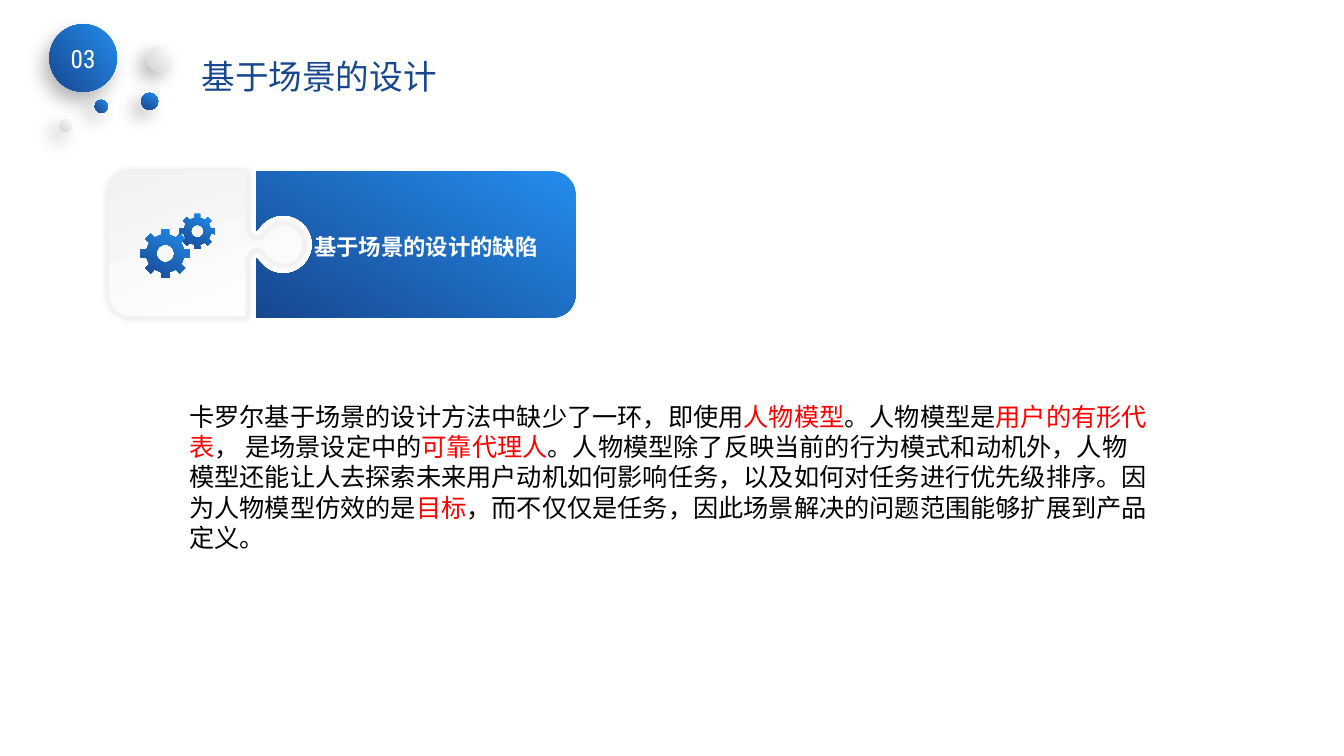
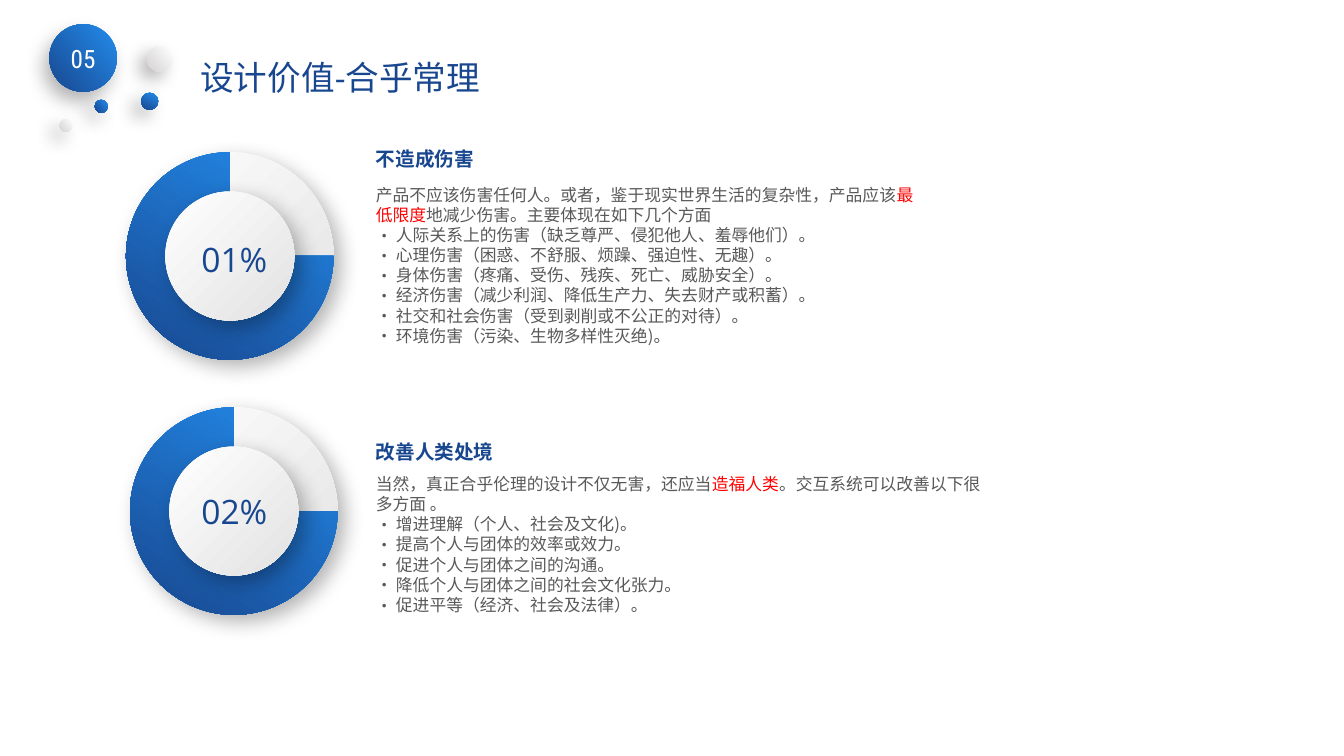
from dataclasses import dataclass
from math import cos, radians, sin

from lxml.etree import SubElement
from pptx import Presentation
from pptx.dml.color import RGBColor
from pptx.enum.shapes import MSO_SHAPE
from pptx.enum.text import MSO_ANCHOR, PP_ALIGN
from pptx.oxml.ns import qn
from pptx.util import Emu, Pt

CELL = 76200
COLUMNS, ROWS = 160, 90
COLORS = {
    "sky": "238DED", "navy": "18478F", "white": "FFFFFF", "black": "000000",
    "mist": "F2F2F2", "silver": "E2E2E2", "steel": "D4D2D3",
    "body": "595959", "accent": "FF0000",
}
CJK_FONT, TITLE_FONT, BADGE_FONT, BODY_FONT = (
    "Noto Sans CJK SC", "Open Sans", "Roboto Condensed", "Calibri")

Point = tuple[float, float]


@dataclass(frozen=True)
class Area:
    left: float
    top: float
    width: float
    height: float

    def emu(self) -> list[Emu]:
        return [Emu(round(n * CELL)) for n in (self.left, self.top, self.width, self.height)]


@dataclass(frozen=True)
class Gradient:
    start: str
    end: str
    angle: float


@dataclass(frozen=True)
class Shadow:
    alpha: int
    blur: float
    distance: float
    direction: int


@dataclass(frozen=True)
class TextStyle:
    size: float
    font: str
    color: str
    bold: bool = False
    align: PP_ALIGN = PP_ALIGN.LEFT
    leading: float = 1.2


@dataclass(frozen=True)
class Dot:
    left: float
    top: float
    size: float
    fill: Gradient


@dataclass(frozen=True)
class Gear:
    x: float
    y: float
    radius: float


@dataclass(frozen=True)
class Value:
    ring: Point
    number: str
    number_top: float
    heading: str
    heading_area: Area
    intro: str
    bullets: tuple[str, ...]
    text_area: Area


BLUE = Gradient("sky", "navy", 120)
BLUE_DOT = Gradient("sky", "navy", 140)
GREY_DOT = Gradient("white", "steel", 140)
DISC = Gradient("white", "silver", 45)
TILE = Gradient("white", "mist", 250)

BADGE_SHADOW = Shadow(30, 14, 8, 120)
DOT_SHADOW = Shadow(30, 13, 8, 135)
DISC_SHADOW = Shadow(30, 15, 7, 45)
TILE_SHADOW = Shadow(11, 5, 0, 0)

TITLE = TextStyle(24, TITLE_FONT, "navy", leading=1.3)
NUMBER = TextStyle(24, TITLE_FONT, "navy", align=PP_ALIGN.CENTER, leading=1.3)
BADGE = TextStyle(18, BADGE_FONT, "white", align=PP_ALIGN.CENTER)
LABEL = TextStyle(16, CJK_FONT, "white", bold=True)
HEADING = TextStyle(14, CJK_FONT, "navy", bold=True)
STORY = TextStyle(18, BODY_FONT, "black")
DETAIL = TextStyle(12, CJK_FONT, "body")

DOTS = (
    Dot(17.52, 5.52, 3, GREY_DOT),
    Dot(7.08, 14.16, 1.56, GREY_DOT),
    Dot(11.28, 11.88, 1.56, BLUE_DOT),
    Dot(16.8, 11.04, 2.04, BLUE),
)
GEARS = (Gear(19.68, 30.18, 2.94), Gear(23.5, 27.54, 2.1))

STORY_TEXT = (
    "卡罗尔基于场景的设计方法中缺少了一环，即使用|人物模型|。人物模型是|用户的有形代表|"
    "， 是场景设定中的|可靠代理人|。人物模型除了反映当前的行为模式和动机外，"
    "人物模型还能让人去探索未来用户动机如何影响任务，以及如何对任务进行优先级排序。"
    "因为人物模型仿效的是|目标|，而不仅仅是任务，因此场景解决的问题范围能够扩展到产品定义。"
)
VALUES = (
    Value(
        (15, 18.12), "01%", 27.48, "不造成伤害", Area(43.56, 16.92, 42, 3.24),
        "产品不应该伤害任何人。或者，鉴于现实世界生活的复杂性，产品应该|最低限度|"
        "地减少伤害。主要体现在如下几个方面",
        ("人际关系上的伤害（缺乏尊严、侵犯他人、羞辱他们）。",
         "心理伤害（困惑、不舒服、烦躁、强迫性、无趣）。",
         "身体伤害（疼痛、受伤、残疾、死亡、威胁安全）。",
         "经济伤害（减少利润、降低生产力、失去财产或积蓄）。",
         "社交和社会伤害（受到剥削或不公正的对待）。",
         "环境伤害（污染、生物多样性灭绝)。"),
        Area(43.56, 21.36, 67.08, 20.64),
    ),
    Value(
        (15.48, 48.48), "02%", 57.48, "改善人类处境", Area(43.56, 51.84, 48.24, 3.96),
        "当然，真正合乎伦理的设计不仅无害，还应当|造福人类|。交互系统可以改善以下很多方面 。",
        ("增进理解（个人、社会及文化)。",
         "提高个人与团体的效率或效力。",
         "促进个人与团体之间的沟通。",
         "降低个人与团体之间的社会文化张力。",
         "促进平等（经济、社会及法律）。"),
        Area(43.56, 55.8, 74.64, 18.12),
    ),
)


def rgb(name: str) -> RGBColor:
    return RGBColor.from_string(COLORS[name])


def paint(shape, fill: Gradient, shadow: Shadow | None = None) -> None:
    shape.fill.gradient()
    shape.fill.gradient_angle = 360 - fill.angle
    for stop, color in zip(shape.fill.gradient_stops, (fill.start, fill.end)):
        stop.color.rgb = rgb(color)
    shape.line.fill.background()
    shape.shadow.inherit = False
    if shadow:
        effects = shape.element.spPr.find(qn("a:effectLst"))
        outer = SubElement(
            effects, qn("a:outerShdw"), blurRad=str(Pt(shadow.blur)),
            dist=str(Pt(shadow.distance)), dir=str(shadow.direction * 60000),
            algn="ctr", rotWithShape="0")
        color = SubElement(outer, qn("a:srgbClr"), val=COLORS["black"])
        SubElement(color, qn("a:alpha"), val=str(shadow.alpha * 1000))


def add_preset(page, kind: MSO_SHAPE, area: Area, fill: Gradient, shadow: Shadow | None = None):
    shape = page.shapes.add_shape(kind, *area.emu())
    paint(shape, fill, shadow)
    return shape


def add_outline(page, contours: list[list[Point]], fill: Gradient, shadow: Shadow | None = None):
    scaled = [[(round(x * CELL), round(y * CELL)) for x, y in contour] for contour in contours]
    builder = page.shapes.build_freeform(*scaled[0][0], scale=1.0)
    for index, contour in enumerate(scaled):
        if index:
            builder.move_to(*contour[0])
        builder.add_line_segments(contour[1:], close=True)
    shape = builder.convert_to_shape()
    paint(shape, fill, shadow)
    return shape


def style_paragraph(para, style: TextStyle) -> None:
    para.alignment = style.align
    para.line_spacing = Pt(style.size * style.leading)
    for index, span in enumerate(para.runs):
        span.font.size = Pt(style.size)
        span.font.name = style.font
        span.font.bold = style.bold
        span.font.color.rgb = rgb("accent" if index % 2 else style.color)
        SubElement(span.font._element, qn("a:ea"), typeface=CJK_FONT)


def fill_paragraph(para, text: str, style: TextStyle) -> None:
    for part in text.split("|"):
        para.add_run().text = part
    style_paragraph(para, style)


def add_text(page, area: Area, text: str, style: TextStyle, bullets: tuple[str, ...] = ()) -> None:
    frame = page.shapes.add_textbox(*area.emu()).text_frame
    frame.word_wrap = True
    fill_paragraph(frame.paragraphs[0], text, style)
    for bullet in bullets:
        para = frame.add_paragraph()
        properties = para._p.get_or_add_pPr()
        indent = round(2.4 * CELL)
        properties.set("marL", str(indent))
        properties.set("indent", str(-indent))
        SubElement(properties, qn("a:buFont"), typeface=CJK_FONT)
        SubElement(properties, qn("a:buChar"), char="•")
        fill_paragraph(para, bullet, style)


def arc(x: float, y: float, radius: float, start: float, end: float, steps: int = 40) -> list[Point]:
    angles = [radians(start + (end - start) * i / steps) for i in range(steps + 1)]
    return [(x + radius * cos(a), y + radius * sin(a)) for a in angles]


def bezier(a: Point, b: Point, c: Point, d: Point, steps: int = 12) -> list[Point]:
    points = []
    for i in range(steps + 1):
        t = i / steps
        weights = ((1 - t) ** 3, 3 * t * (1 - t) ** 2, 3 * t * t * (1 - t), t ** 3)
        points.append(tuple(sum(w * p[axis] for w, p in zip(weights, (a, b, c, d)))
                            for axis in (0, 1)))
    return points


def add_puzzle(page) -> None:
    left, top, right, bottom, corner = 12.84, 20.4, 68.52, 37.8, 2.76
    tile_edge, panel_edge = 29.4, 30.48
    knob_x, knob_y = 33.72, (top + bottom) / 2
    neck = (bezier((-4.32, -1.62), (-4.08, -1.2), (-3.72, -0.6), (-3.24, -0.6))
            + bezier((-3.24, -0.6), (-2.4, -0.6), (-2.2, -1.2), (-1.96, -1.48)))
    upper = [(knob_x + x, knob_y + y) for x, y in neck]
    lower = [(knob_x + x, knob_y - y) for x, y in reversed(neck)]
    tile = ([(tile_edge, top)] + upper + arc(knob_x, knob_y, 2.46, 217, 503) + lower
            + [(tile_edge, bottom)]
            + arc(left + corner, bottom - corner, corner, 90, 180)
            + arc(left + corner, top + corner, corner, 180, 270))
    panel = ([(panel_edge, top)]
             + arc(right - corner, top + corner, corner, 270, 360)
             + arc(right - corner, bottom - corner, corner, 0, 90)
             + [(panel_edge, bottom), (panel_edge, knob_y + 1.62)]
             + arc(knob_x, knob_y, 3.5, 148, -148)
             + [(panel_edge, knob_y - 1.62)])
    shape = add_outline(page, [tile], TILE, TILE_SHADOW)
    shape.line.color.rgb = rgb("mist")
    shape.line.width = Pt(2)
    add_outline(page, [panel], BLUE)


def add_gear(page, gear: Gear) -> None:
    teeth = []
    for center in range(0, 360, 45):
        for share, turn in ((0.78, -11), (1, -9), (1, 9), (0.78, 11)):
            angle = radians(center + turn)
            teeth.append((gear.x + gear.radius * share * cos(angle),
                          gear.y + gear.radius * share * sin(angle)))
    add_outline(page, [teeth, arc(gear.x, gear.y, gear.radius * 0.36, 360, 0)], BLUE)


def add_header(page, number: str, title: str, area: Area) -> None:
    add_text(page, area, title, TITLE)
    badge = add_preset(page, MSO_SHAPE.OVAL, Area(5.88, 2.88, 8.04, 8.04), BLUE_DOT, BADGE_SHADOW)
    frame = badge.text_frame
    frame.margin_left = frame.margin_right = frame.margin_top = frame.margin_bottom = 0
    frame.word_wrap = False
    frame.vertical_anchor = MSO_ANCHOR.MIDDLE
    frame.text = number
    style_paragraph(frame.paragraphs[0], BADGE)
    for dot in DOTS:
        add_preset(page, MSO_SHAPE.OVAL, Area(dot.left, dot.top, dot.size, dot.size),
                   dot.fill, DOT_SHADOW)


def add_value(page, value: Value) -> None:
    left, top = value.ring
    size, inset = 24.72, 4.68
    ring = Area(left, top, size, size)
    hub = Area(left + inset, top + inset, size - 2 * inset, size - 2 * inset)
    add_preset(page, MSO_SHAPE.OVAL, ring, DISC, DISC_SHADOW)
    add_preset(page, MSO_SHAPE.PIE, ring, BLUE)
    add_preset(page, MSO_SHAPE.OVAL, hub, DISC, DISC_SHADOW)
    add_text(page, Area(18.84, value.number_top, 18.12, 6), value.number, NUMBER)
    add_text(page, value.text_area, value.intro, DETAIL, value.bullets)
    add_text(page, value.heading_area, value.heading, HEADING)


def main() -> None:
    deck = Presentation()
    deck.slide_width, deck.slide_height = Emu(COLUMNS * CELL), Emu(ROWS * CELL)
    blank = deck.slide_layouts[6]

    page = deck.slides.add_slide(blank)
    add_puzzle(page)
    for gear in GEARS:
        add_gear(page, gear)
    add_text(page, Area(36.24, 27.12, 30.72, 4.44), "基于场景的设计的缺陷", LABEL)
    add_text(page, Area(21.36, 47.16, 116.64, 19.32), STORY_TEXT, STORY)
    add_header(page, "03", "基于场景的设计", Area(22.8, 5.64, 56.16, 6))

    page = deck.slides.add_slide(blank)
    for value in VALUES:
        add_value(page, value)
    add_header(page, "05", "设计价值-合乎常理", Area(22.68, 5.76, 40.08, 6))

    deck.save("out.pptx")


if __name__ == "__main__":
    main()
